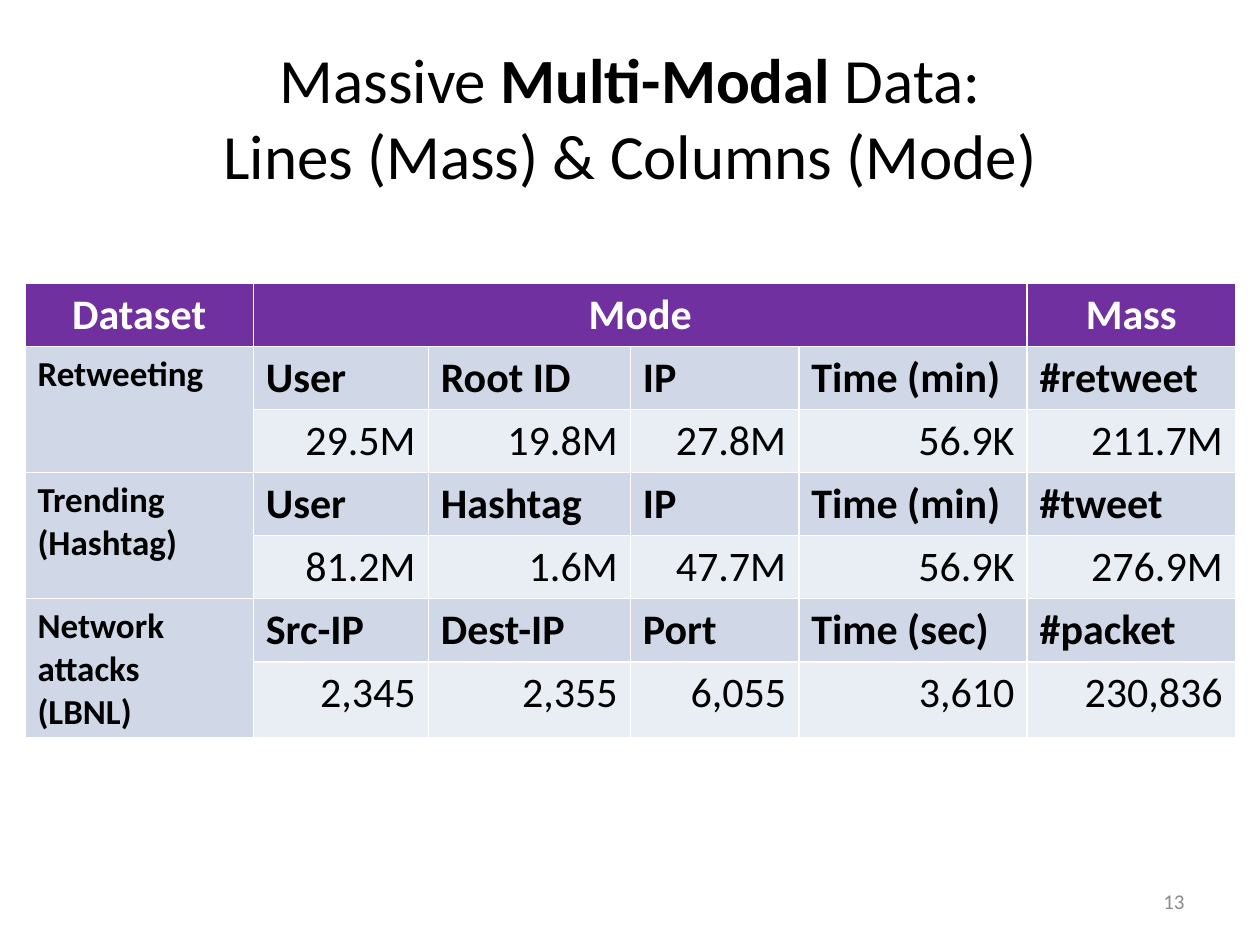
from pptx import Presentation
from pptx import util as u
from pptx.dml.color import RGBColor
from pptx.enum import text

BLACK = RGBColor(0x00, 0x00, 0x00)
WHITE = RGBColor(0xFF, 0xFF, 0xFF)
GRAY = RGBColor(0x8C, 0x8C, 0x8C)
PURPLE = RGBColor(0x70, 0x30, 0xA0)
BLUE = RGBColor(0xD0, 0xD8, 0xE8)
PALE_BLUE = RGBColor(0xE9, 0xED, 0xF4)
LEFT, CENTER, RIGHT = text.PP_ALIGN.LEFT, text.PP_ALIGN.CENTER, text.PP_ALIGN.RIGHT


def style_paragraph(paragraph, size, color, alignment, bold=None):
    paragraph.alignment = alignment
    paragraph.font.name = "Calibri"
    paragraph.font.size = u.Pt(size)
    paragraph.font.color.rgb = color
    paragraph.font.bold = bold


def fill_cell(cell, content, fill, size, color, alignment, bold):
    cell.fill.solid()
    cell.fill.fore_color.rgb = fill
    cell.text = content
    for paragraph in cell.text_frame.paragraphs:
        style_paragraph(paragraph, size, color, alignment, bold)


presentation = Presentation()
presentation.slide_width = u.Pt(720)
presentation.slide_height = u.Pt(540)
slide = presentation.slides.add_slide(presentation.slide_layouts[6])

title = slide.shapes.add_textbox(u.Pt(36), u.Pt(21.6), u.Pt(648), u.Pt(90))
title.text_frame.word_wrap = True
title.text_frame.vertical_anchor = text.MSO_ANCHOR.MIDDLE
paragraph = title.text_frame.paragraphs[0]
style_paragraph(paragraph, 36, BLACK, CENTER)
for content, bold in [("Massive ", False), ("Multi-Modal ", True), ("Data:", False)]:
    run = paragraph.add_run()
    run.text = content
    run.font.bold = bold
paragraph.add_line_break()
paragraph.add_run().text = "Lines (Mass) & Columns (Mode)"

number = slide.shapes.add_textbox(u.Pt(516), u.Pt(500.5), u.Pt(168), u.Pt(28.75))
number.text_frame.word_wrap = True
number.text_frame.vertical_anchor = text.MSO_ANCHOR.MIDDLE
number.text_frame.text = "13"
style_paragraph(number.text_frame.paragraphs[0], 12, GRAY, RIGHT)

datasets = [
    ("Retweeting",
     ["User", "Root ID", "IP", "Time (min)", "#retweet"],
     ["29.5M", "19.8M", "27.8M", "56.9K", "211.7M"]),
    ("Trending (Hashtag)",
     ["User", "Hashtag", "IP", "Time (min)", "#tweet"],
     ["81.2M", "1.6M", "47.7M", "56.9K", "276.9M"]),
    ("Network attacks\n(LBNL)",
     ["Src-IP", "Dest-IP", "Port", "Time (sec)", "#packet"],
     ["2,345", "2,355", "6,055", "3,610", "230,836"]),
]
widths = [130.5, 100, 115.5, 96.25, 130.5, 119]
frame = slide.shapes.add_table(
    1 + 2 * len(datasets), len(widths), u.Pt(14.25), u.Pt(162), u.Pt(sum(widths)), u.Pt(259.2))
table = frame.table
for column, width in zip(table.columns, widths):
    column.width = u.Pt(width)
for row in table.rows:
    row.height = u.Pt(29.2)

table.cell(0, 1).merge(table.cell(0, 4))
for column, heading in [(0, "Dataset"), (1, "Mode"), (5, "Mass")]:
    fill_cell(table.cell(0, column), heading, PURPLE, 24, WHITE, CENTER, True)

for index, (name, labels, values) in enumerate(datasets):
    top = 1 + 2 * index
    table.cell(top, 0).merge(table.cell(top + 1, 0))
    fill_cell(table.cell(top, 0), name, BLUE, 20, BLACK, LEFT, True)
    for column, (label, value) in enumerate(zip(labels, values), start=1):
        fill_cell(table.cell(top, column), label, BLUE, 24, BLACK, LEFT, True)
        fill_cell(table.cell(top + 1, column), value, PALE_BLUE, 24, BLACK, RIGHT, False)

presentation.save("out.pptx")
